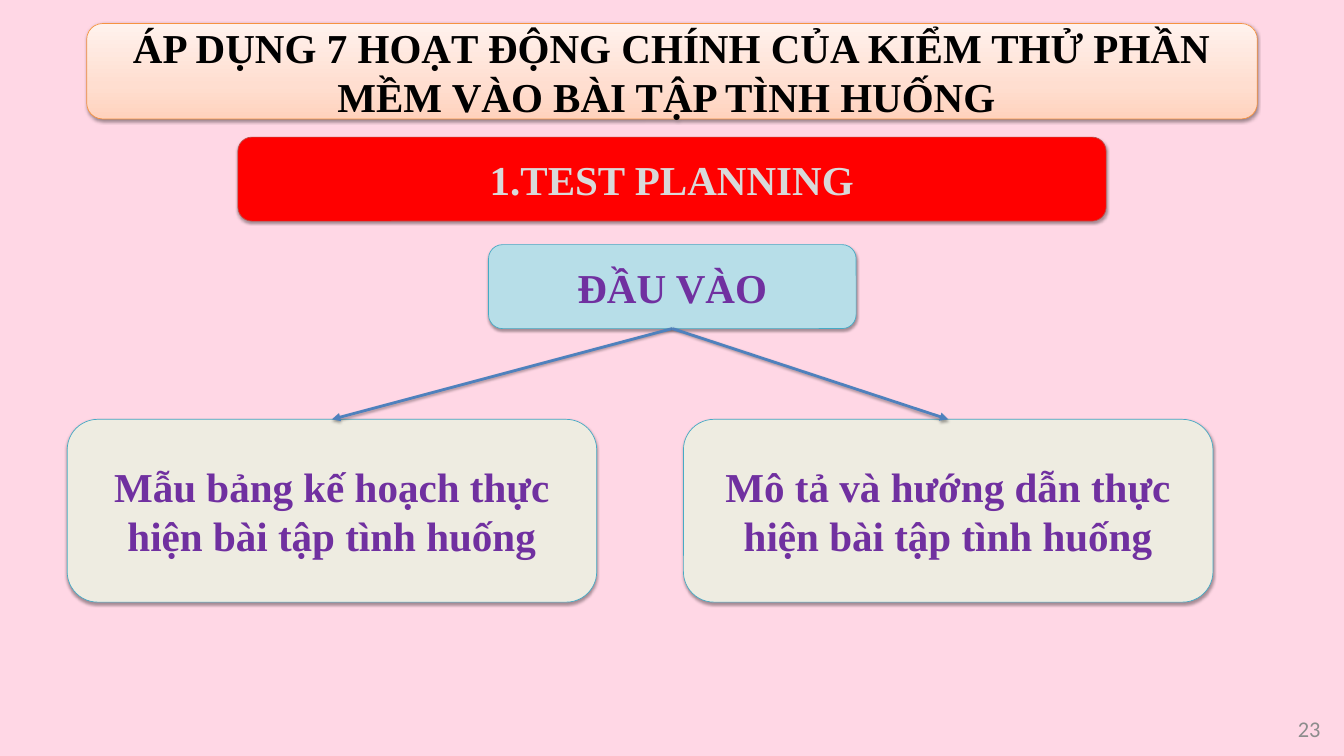
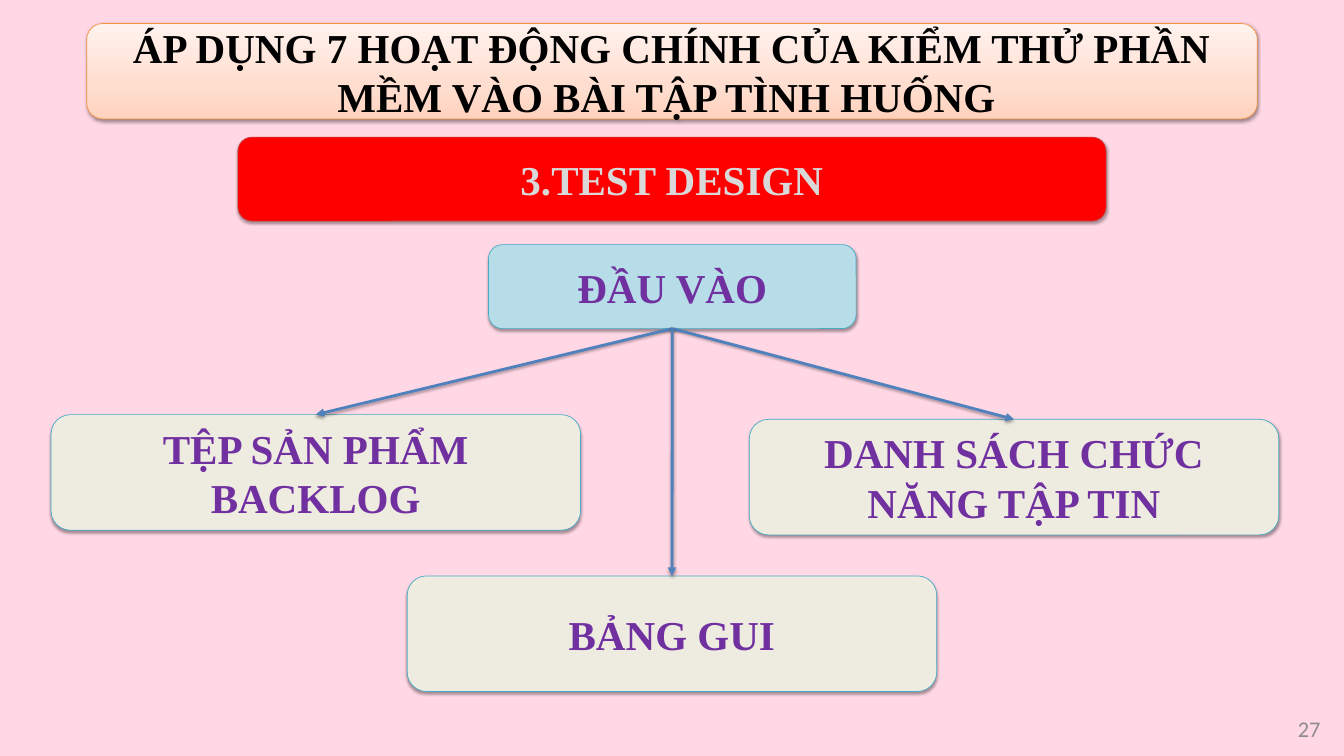
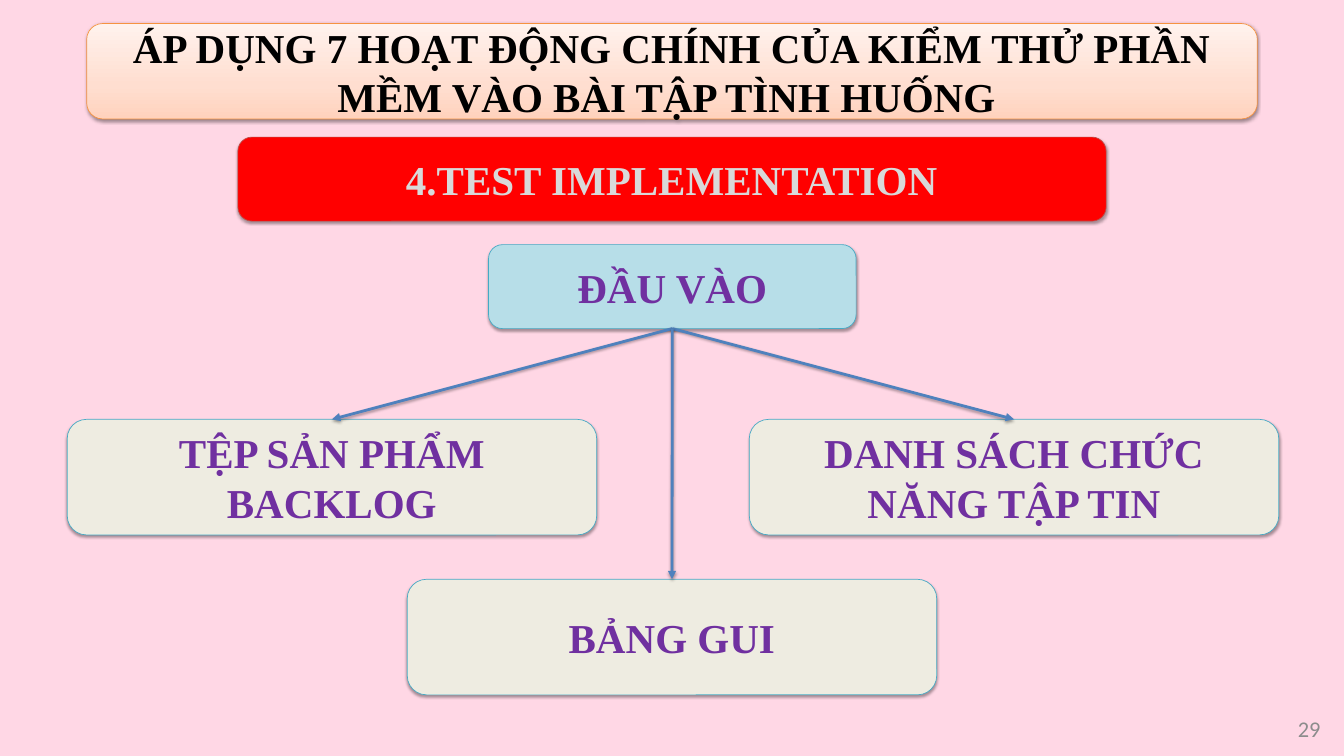
from lxml.etree import SubElement
from pptx import Presentation
from pptx.dml.color import RGBColor
from pptx.enum.shapes import MSO_CONNECTOR, MSO_SHAPE
from pptx.enum.text import MSO_ANCHOR, PP_ALIGN
from pptx.oxml.ns import qn
from pptx.util import Inches, Pt

COLORS = {
    "background": "FFD7E5",
    "title_line": "F69240",
    "title_text": "000000",
    "activity": "FF0000",
    "activity_line": "BF4C48",
    "activity_text": "D9D9D9",
    "input": "B7DEE8",
    "item": "EEECE1",
    "box_line": "46AAC5",
    "box_text": "7030A0",
    "arrow": "4F81BD",
    "shadow": "000000",
    "number": "8C8C8C",
}
TITLE_GRADIENT = [(0, "FFD2BD"), (35, "FFDED0"), (100, "FFF2ED")]
TITLE = "ÁP DỤNG 7 HOẠT ĐỘNG CHÍNH CỦA KIỂM THỬ PHẦN MỀM VÀO BÀI TẬP TÌNH HUỐNG "
ITEM_WIDTH = 7.88
TALL, SHORT = 2.72, 1.72

BACKLOG = "TỆP SẢN PHẨM BACKLOG"
FUNCTIONS = "DANH SÁCH CHỨC NĂNG TẬP TIN"
GUI = "BẢNG GUI"

SLIDES = [
    ("1.TEST PLANNING", 23, TALL, [
        ("Mẫu bảng kế hoạch thực hiện bài tập tình huống", 1, 6.24),
        ("Mô tả và hướng dẫn thực hiện bài tập tình huống", 10.17, 6.24),
    ]),
    ("3.TEST DESIGN", 27, SHORT, [
        (BACKLOG, 0.76, 6.17),
        (FUNCTIONS, 11.15, 6.24),
        (GUI, 6.06, 8.57),
    ]),
    ("4.TEST IMPLEMENTATION", 29, SHORT, [
        (BACKLOG, 1, 6.24),
        (FUNCTIONS, 11.15, 6.24),
        (GUI, 6.06, 8.62),
    ]),
]


def color(name):
    return RGBColor.from_string(COLORS[name])


def add_shadow(shape, opacity=35, distance=1.8):
    effects = SubElement(shape._element.spPr, qn("a:effectLst"))
    shadow = SubElement(effects, qn("a:outerShdw"), blurRad=str(Pt(3.1)),
                        dist=str(Pt(distance)), dir="5400000", rotWithShape="0")
    shade = SubElement(shadow, qn("a:srgbClr"), val=COLORS["shadow"])
    SubElement(shade, qn("a:alpha"), val=str(opacity * 1000))


def write_text(shape, text, size, font_name, text_color, alignment, bold):
    frame = shape.text_frame
    frame.word_wrap = True
    frame.vertical_anchor = MSO_ANCHOR.MIDDLE
    paragraph = frame.paragraphs[0]
    paragraph.text = text
    paragraph.alignment = alignment
    paragraph.font.size = Pt(size)
    paragraph.font.name = font_name
    paragraph.font.bold = bold
    paragraph.font.color.rgb = color(text_color)


def add_box(slide, text, position, line, text_color, fill=None):
    box = slide.shapes.add_shape(MSO_SHAPE.ROUNDED_RECTANGLE, *map(Inches, position))
    if fill:
        box.fill.solid()
        box.fill.fore_color.rgb = color(fill)
    box.line.color.rgb = color(line)
    box.line.width = Pt(0.75)
    write_text(box, text, 44, "Times New Roman", text_color, PP_ALIGN.CENTER, True)
    return box


def add_title(slide):
    title = add_box(slide, TITLE, (1.29, 0.35, 17.42, 1.42), "title_line", "title_text")
    title.fill.gradient()
    title.fill.gradient_angle = 90
    stops = title._element.spPr.find(qn("a:gradFill")).find(qn("a:gsLst"))
    stops.clear()
    for place, value in TITLE_GRADIENT:
        stop = SubElement(stops, qn("a:gs"), pos=str(place * 1000))
        SubElement(stop, qn("a:srgbClr"), val=value)
    add_shadow(title, 38, 1.6)


def add_slide_number(slide, number):
    box = slide.shapes.add_textbox(*map(Inches, (17.42, 10.64, 2.33, 0.4)))
    write_text(box, str(number), 24, "Calibri", "number", PP_ALIGN.RIGHT, False)


def add_node(slide, text, position, fill, line="box_line", text_color="box_text"):
    node = add_box(slide, text, position, line, text_color, fill)
    add_shadow(node)
    return node


def add_arrow(slide, source, target):
    arrow = slide.shapes.add_connector(MSO_CONNECTOR.STRAIGHT, 0, 0, 0, 0)
    arrow.begin_connect(source, 2)
    arrow.end_connect(target, 0)
    arrow.line.color.rgb = color("arrow")
    arrow.line.width = Pt(3)
    SubElement(arrow.line._get_or_add_ln(), qn("a:tailEnd"), type="triangle")
    add_shadow(arrow)


def add_activity_slide(presentation, activity, number, item_height, items):
    slide = presentation.slides.add_slide(presentation.slide_layouts[6])
    slide.background.fill.solid()
    slide.background.fill.fore_color.rgb = color("background")
    add_title(slide)
    add_slide_number(slide, number)
    add_node(slide, activity, (3.54, 2.04, 12.92, 1.25), "activity",
             "activity_line", "activity_text")
    source = add_node(slide, "ĐẦU VÀO", (7.27, 3.64, 5.47, 1.25), "input")
    for text, left, top in items:
        item = add_node(slide, text, (left, top, ITEM_WIDTH, item_height), "item")
        add_arrow(slide, source, item)


def main():
    presentation = Presentation()
    presentation.slide_width = Inches(20)
    presentation.slide_height = Inches(11.25)
    for content in SLIDES:
        add_activity_slide(presentation, *content)
    presentation.save("out.pptx")


if __name__ == "__main__":
    main()
